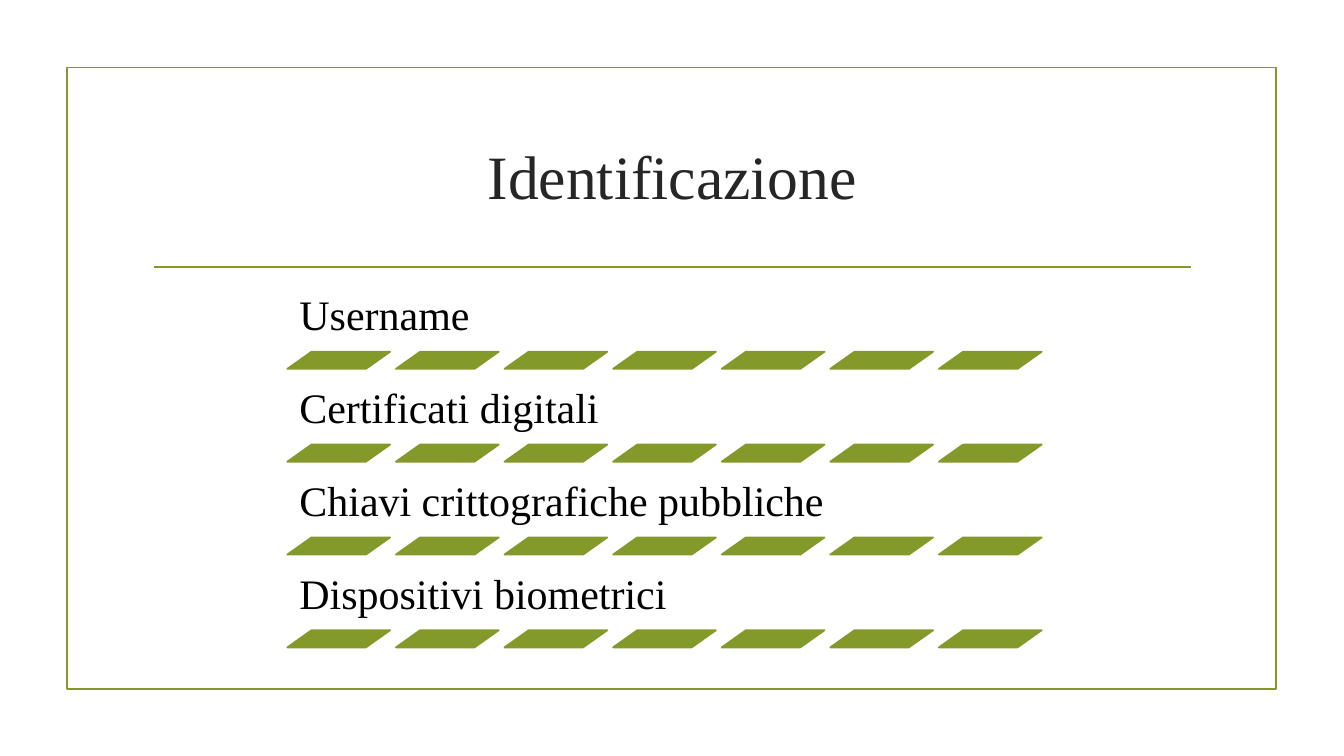
from dataclasses import dataclass

from lxml.etree import SubElement
from pptx import Presentation
from pptx.dml.color import RGBColor
from pptx.enum.shapes import MSO_CONNECTOR, MSO_SHAPE
from pptx.enum.text import MSO_ANCHOR, PP_ALIGN
from pptx.oxml.ns import qn
from pptx.shapes.autoshape import Shape
from pptx.slide import Slide
from pptx.text.text import TextFrame
from pptx.util import Emu, Inches, Pt

SLIDE_WIDTH, SLIDE_HEIGHT = Inches(13.33), Inches(7.5)
FONT = "Times New Roman"
GREEN, DARK, BLACK = "83992A", "262626", "000000"
LINE_WIDTH = Pt(1.25)
ROW_PITCH, BAR_PITCH, BAR_COUNT = 12.28, 8.08, 7


@dataclass(frozen=True)
class Area:
    """A rectangle in percent of the slide's width and height."""

    left: float
    top: float
    width: float
    height: float

    def shifted(self, across: float = 0, down: float = 0) -> "Area":
        """Return the same rectangle moved across and down."""
        return Area(self.left + across, self.top + down, self.width, self.height)

    def lengths(self) -> tuple[Emu, Emu, Emu, Emu]:
        """Return left, top, width and height as slide lengths."""
        return (across(self.left), down(self.top),
                across(self.width), down(self.height))


@dataclass(frozen=True)
class Method:
    """An identification method and its row in the list."""

    name: str
    row: int


FRAME = Area(4.97, 8.93, 90, 82.27)
TITLE = Area(10.65, 14.27, 78.77, 19.07)
LABEL = Area(21.38, 37.33, 57.24, 9.2)
BAR = Area(21.38, 46.53, 7.65, 2.27)
NAMES = ("Username", "Certificati digitali",
         "Chiavi crittografiche pubbliche", "Dispositivi biometrici")
METHODS = [Method(name, row) for row, name in enumerate(NAMES)]


def across(percent: float) -> Emu:
    """Convert a share of the slide's width to a length."""
    return Emu(round(SLIDE_WIDTH * percent / 100))


def down(percent: float) -> Emu:
    """Convert a share of the slide's height to a length."""
    return Emu(round(SLIDE_HEIGHT * percent / 100))


def color(value: str) -> RGBColor:
    """Convert a hex string to a colour."""
    return RGBColor.from_string(value)


def write(frame: TextFrame, text: str, size: float, ink: str,
          align: PP_ALIGN, anchor: MSO_ANCHOR) -> None:
    """Write one formatted run into a text frame."""
    frame.word_wrap = True
    frame.vertical_anchor = anchor
    para = frame.paragraphs[0]
    para.alignment = align
    para.line_spacing = 0.9
    span = para.add_run()
    span.text = text
    span.font.name = FONT
    span.font.size = Pt(size)
    span.font.color.rgb = color(ink)


def outline(shape: Shape) -> None:
    """Give a shape the green outline and no shadow."""
    shape.shadow.inherit = False
    shape.line.color.rgb = color(GREEN)
    shape.line.width = LINE_WIDTH


def draw_frame(page: Slide) -> None:
    """Draw the border and the rule under the title."""
    border = page.shapes.add_shape(MSO_SHAPE.RECTANGLE, *FRAME.lengths())
    border.fill.background()
    outline(border)
    rule = page.shapes.add_connector(
        MSO_CONNECTOR.STRAIGHT, across(11.48), down(35.33),
        across(88.6), down(35.33))
    rule.line.color.rgb = color(GREEN)
    rule.line.width = LINE_WIDTH
    SubElement(rule.element.spPr, qn("a:effectLst"))


def draw_title(page: Slide, text: str) -> None:
    """Place and fill the title placeholder."""
    title = page.shapes.title
    title.left, title.top, title.width, title.height = TITLE.lengths()
    write(title.text_frame, text, 44, DARK, PP_ALIGN.CENTER, MSO_ANCHOR.MIDDLE)


def draw_method(page: Slide, method: Method) -> None:
    """Draw a method's name above its row of slanted bars."""
    group = page.shapes.add_group_shape()
    drop = method.row * ROW_PITCH
    box = group.shapes.add_textbox(*LABEL.shifted(down=drop).lengths())
    frame = box.text_frame
    frame.margin_left = frame.margin_right = Inches(0.12)
    frame.margin_top = frame.margin_bottom = Inches(0.12)
    write(frame, method.name, 30, BLACK, PP_ALIGN.LEFT, MSO_ANCHOR.BOTTOM)
    for column in range(BAR_COUNT):
        area = BAR.shifted(column * BAR_PITCH, drop)
        bar = group.shapes.add_shape(MSO_SHAPE.PARALLELOGRAM, *area.lengths())
        bar.adjustments[0] = 1.41
        bar.fill.solid()
        bar.fill.fore_color.rgb = color(GREEN)
        outline(bar)


def main() -> None:
    """Build and save the slide."""
    deck = Presentation()
    deck.slide_width, deck.slide_height = SLIDE_WIDTH, SLIDE_HEIGHT
    page = deck.slides.add_slide(deck.slide_layouts.get_by_name("Title Only"))
    draw_frame(page)
    draw_title(page, "Identificazione")
    for method in METHODS:
        draw_method(page, method)
    deck.save("out.pptx")


if __name__ == "__main__":
    main()
